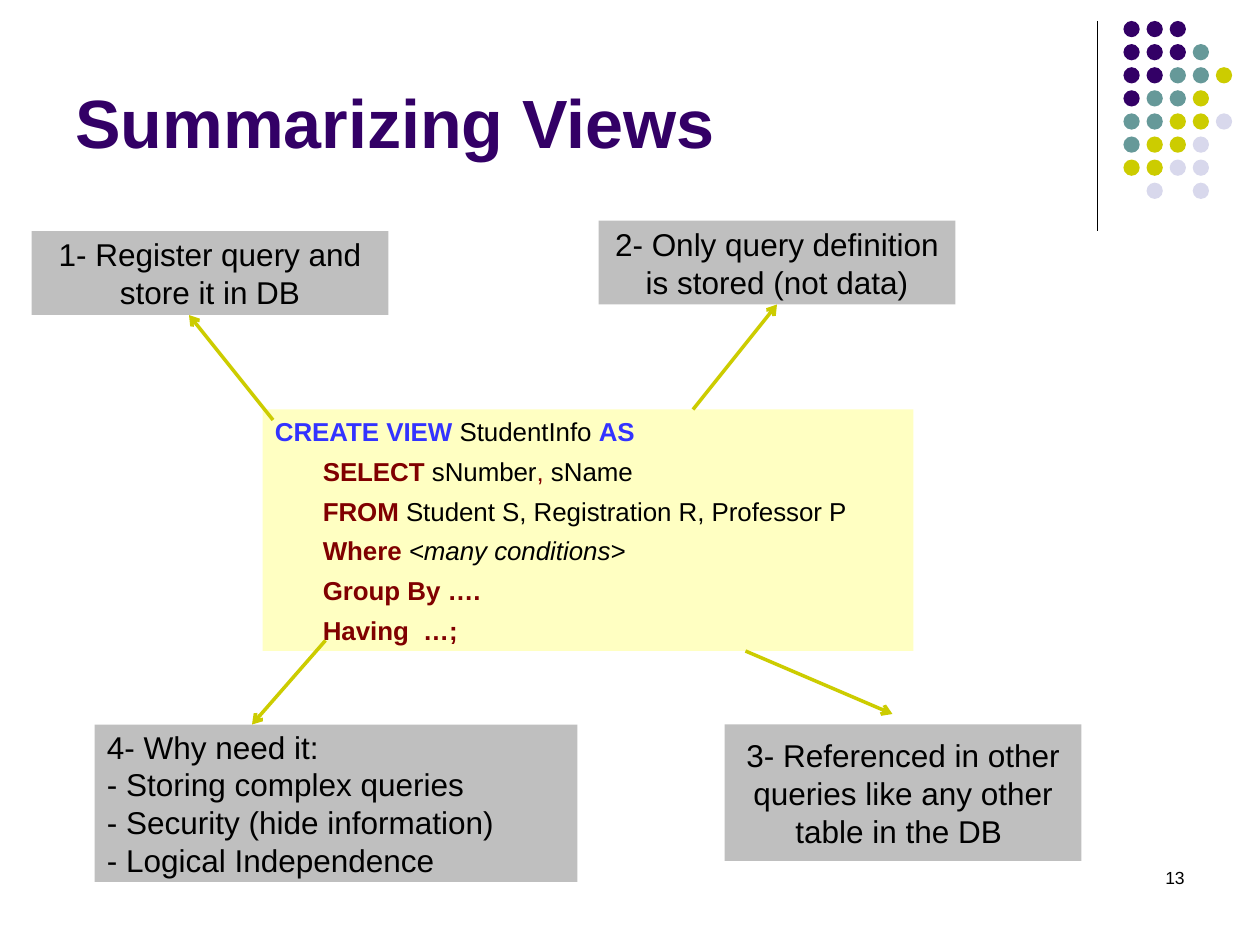
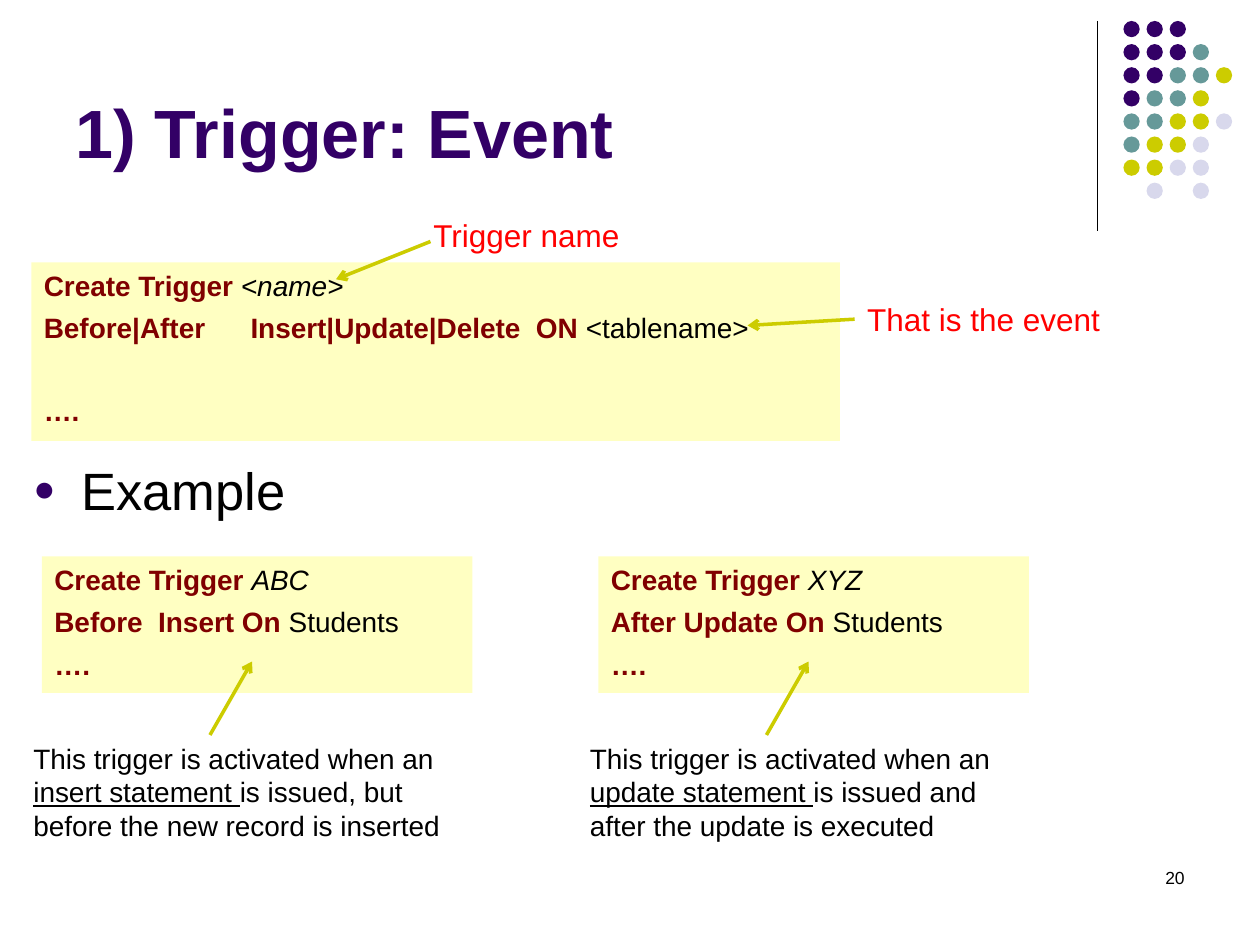
from pptx import Presentation
from pptx.dml.color import RGBColor
from pptx.enum.shapes import MSO_CONNECTOR as Link, MSO_SHAPE as Form
from pptx.enum.text import MSO_ANCHOR as Anchor, PP_ALIGN as Align
from pptx.oxml.ns import qn
from pptx.util import Inches, Pt
from lxml.etree import SubElement as Sub

WIDE, HIGH = Inches(10), Inches(7.5)
COLS = 120
UNIT = WIDE / COLS

BLACK, PURPLE, TEAL, OLIVE, PALE = "000000", "330066", "669999", "CCCC00", "D8D8EC"
CREAM, GREY, BLUE, MAROON, RED = "FFFFC2", "BFBFBF", "3333FF", "800000", "FF0000"

DOTS = ["PPP", "PPPT", "PPTTO", "PTTO", "TTOOL", "TOOL", "OOLL", " L L"]
TINTS = {"P": PURPLE, "T": TEAL, "O": OLIVE, "L": PALE}

PLAIN = {}
HEAD = {"color": BLUE, "bold": True}
KEY = {"color": MAROON, "bold": True}
MARK = {"color": MAROON}
SLANT = {"italic": True}
UNDER = {"underline": True}


def grid(*spans):
    return [round(span * UNIT) for span in spans]


def rgb(code):
    return RGBColor.from_string(code)


def style(font, color=None, **traits):
    if color:
        font.color.rgb = rgb(color)
    for name, value in traits.items():
        setattr(font, name, value)


def write(box, lines, size, color=BLACK, bold=None, align=Align.LEFT,
          anchor=Anchor.TOP, gap=0, wrap=True):
    frame = box.text_frame
    frame.word_wrap = wrap
    frame.vertical_anchor = anchor
    for i, line in enumerate(lines):
        para = frame.paragraphs[0] if i == 0 else frame.add_paragraph()
        para.alignment = align
        if i and gap:
            para.space_before = Pt(gap)
        style(para.font, color, name="Arial", size=Pt(size), bold=bold)
        parts = [(line, PLAIN)] if isinstance(line, str) else line
        for text, look in parts:
            run = para.add_run()
            run.text = text
            style(run.font, **look)
    return frame.paragraphs


def label(slide, area, lines, size, **looks):
    box = slide.shapes.add_textbox(*grid(*area))
    write(box, lines, size, **looks)
    return box


def block(slide, area, fill, form=Form.RECTANGLE):
    shape = slide.shapes.add_shape(form, *grid(*area))
    shape.shadow.inherit = False
    shape.fill.solid()
    shape.fill.fore_color.rgb = rgb(fill)
    shape.line.fill.background()
    return shape


def code(slide, area, lines, size):
    return write(block(slide, area, CREAM), lines, size, gap=5)


def note(slide, area, lines, align=Align.CENTER):
    box = block(slide, area, GREY)
    write(box, lines, 18, align=align, anchor=Anchor.MIDDLE)
    return box


def line(slide, start, end, color, width):
    link = slide.shapes.add_connector(Link.STRAIGHT, *grid(*start, *end))
    link.line.color.rgb = rgb(color)
    link.line.width = Pt(width)
    Sub(link._element.spPr, qn("a:effectLst"))
    return link


def arrow(slide, start, end):
    link = line(slide, start, end, OLIVE, 2)
    Sub(link.line._get_or_add_ln(), qn("a:tailEnd"), type="arrow")
    return link


def indent(para, left, hang=0):
    props = para._p.get_or_add_pPr()
    props.set("marL", str(Inches(left)))
    props.set("indent", str(-Inches(hang)))
    return props


def bullet(slide, area, text):
    box = slide.shapes.add_textbox(*grid(*area))
    props = indent(box.text_frame.paragraphs[0], 0.38, 0.38)
    tint = Sub(props, qn("a:buClr"))
    Sub(tint, qn("a:srgbClr"), val=PURPLE)
    Sub(props, qn("a:buSzPct"), val="70000")
    Sub(props, qn("a:buFont"), typeface="Arial")
    Sub(props, qn("a:buChar"), char="●")
    write(box, [text], 30)


def tab(para, place):
    props = para._p.get_or_add_pPr()
    stops = props.makeelement(qn("a:tabLst"))
    Sub(stops, qn("a:tab"), pos=str(Inches(place)), algn="l")
    rest = props.find(qn("a:defRPr"))
    rest.addprevious(stops)


def page(deck, title, foot, number):
    slide = deck.slides.add_slide(deck.slide_layouts[6])
    line(slide, (104.5, 2), (104.5, 22), BLACK, 0.75)
    for row, tints in enumerate(DOTS):
        for col, tint in enumerate(tints):
            if tint in TINTS:
                area = 107 + 2.2 * col, 2 + 2.2 * row, 1.55, 1.55
                block(slide, area, TINTS[tint], Form.OVAL)
    label(slide, (6, 1.6, 99, foot - 1.6), [title], 39, color=PURPLE,
          bold=True, anchor=Anchor.BOTTOM)
    label(slide, (86, 82, 28, 6), [number], 10, align=Align.RIGHT)
    return slide


def views(deck):
    slide = page(deck, "Summarizing Views", 16, "13")
    paras = code(slide, (25, 39, 62, 23), [
        [("CREATE VIEW ", HEAD), ("StudentInfo ", PLAIN), ("AS", HEAD)],
        [("SELECT ", KEY), ("sNumber", PLAIN), (", ", MARK), ("sName", PLAIN)],
        [("FROM ", KEY), ("Student S, Registration R, Professor P", PLAIN)],
        [("Where ", KEY), ("<many conditions>", SLANT)],
        [("Group By ….", KEY)],
        [("Having  …;", KEY)],
    ], 14.8)
    for para in paras[1:]:
        indent(para, 0.76, 0.38)
    for para in paras[1:]:
        indent(para, 0.38)
    note(slide, (3, 22, 34, 8), ["1- Register query and store it in DB"])
    stored = note(slide, (57, 21, 34, 8),
                  ["2- Only query definition is stored (not data)"])
    note(slide, (69, 69, 34, 13),
         ["3- Referenced in other queries like any other table in the DB "])
    note(slide, (9, 69, 46, 15), [
        "4- Why need it:",
        "- Storing complex queries",
        "- Security (hide information)",
        "- Logical Independence",
    ], Align.LEFT)
    arrow(slide, (26, 40), (18, 30))
    arrow(slide, (66, 39), (74, 29)).end_connect(stored, 2)
    arrow(slide, (71, 62), (85, 68))
    arrow(slide, (31, 61), (24, 69))


def sample(slide, left, name, verb, why):
    code(slide, (left + 2, 53, 41, 13), [
        [("Create Trigger ", KEY), (name, SLANT)],
        [(verb, KEY), ("Students", PLAIN)],
        [("….", KEY)],
    ], 16)
    arrow(slide, (left + 18, 70), (left + 22, 63))
    label(slide, (left, 70, 42, 10.8), [why], 16)


def event(deck):
    slide = page(deck, "1) Trigger: Event", 17, "20")
    bullet(slide, (2, 43, 108, 10), "Example")
    paras = code(slide, (3, 25, 77, 17), [
        [("Create Trigger ", KEY), ("<name>", SLANT)],
        [("Before|After\tInsert|Update|Delete  ON ", KEY), ("<tablename>", PLAIN)],
        [("….", KEY)],
    ], 16)
    tab(paras[1], 1.64)
    paras[2].space_before = Pt(28)
    cause = label(slide, (81.4, 28, 24.6, 4.8), ["That is the event"], 18,
                  color=RED, wrap=False)
    arrow(slide, (81.4, 30.4), (71.2, 31)).begin_connect(cause, 1)
    opening = "This trigger is activated when an "
    sample(slide, 2, "ABC", "Before  Insert On ", [
        (opening, PLAIN), ("insert statement ", UNDER),
        ("is issued, but before the new record is inserted", PLAIN)])
    sample(slide, 55, "XYZ", "After Update On ", [
        (opening, PLAIN), ("update statement ", UNDER),
        ("is issued and after the update is executed", PLAIN)])
    arrow(slide, (41, 23), (32, 26.6))
    label(slide, (40.1, 20, 20.2, 4.8), ["Trigger name"], 18,
          color=RED, wrap=False)


def main():
    deck = Presentation()
    deck.slide_width, deck.slide_height = WIDE, HIGH
    views(deck)
    event(deck)
    deck.save("out.pptx")


if __name__ == "__main__":
    main()
